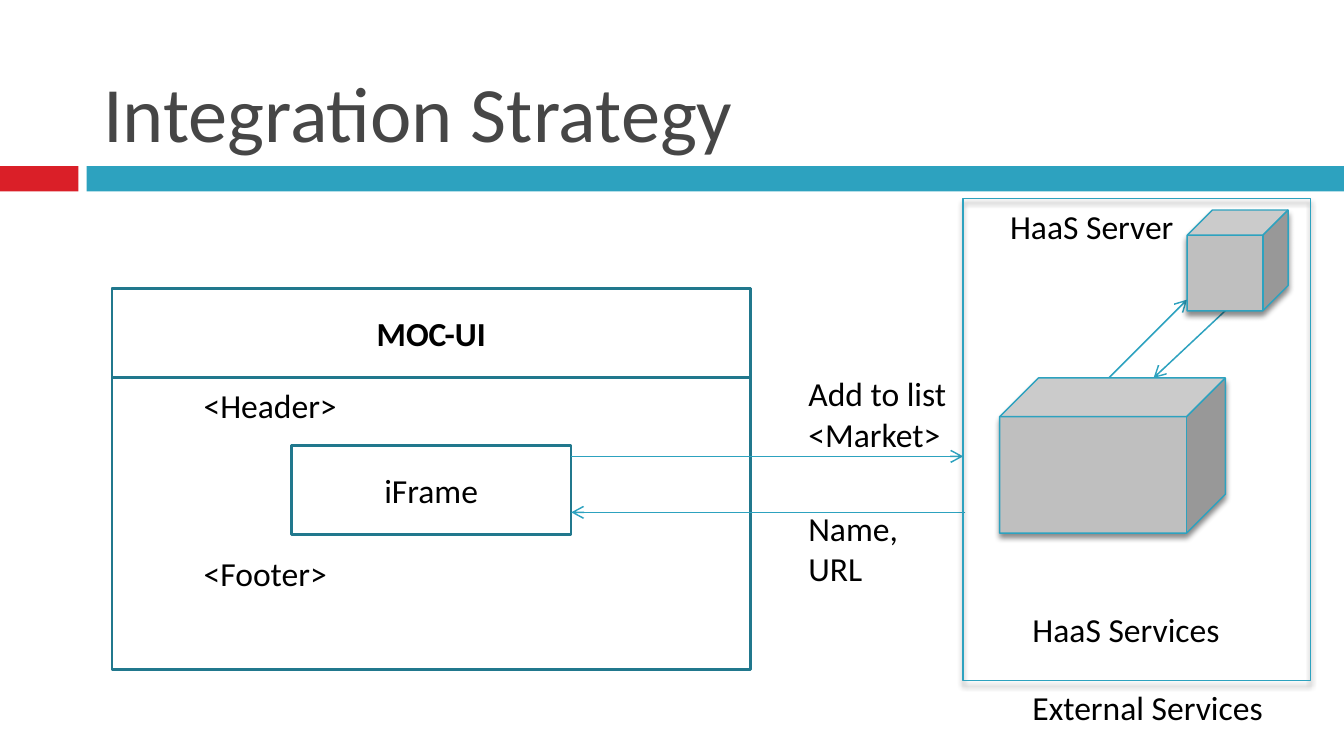
from dataclasses import dataclass

from lxml import etree
from pptx import Presentation
from pptx.dml.color import RGBColor
from pptx.enum.shapes import MSO_CONNECTOR, MSO_SHAPE
from pptx.enum.text import MSO_ANCHOR, MSO_AUTO_SIZE, PP_ALIGN
from pptx.oxml.ns import qn
from pptx.util import Inches, Pt

RECTANGLE, CUBE = MSO_SHAPE.RECTANGLE, MSO_SHAPE.CUBE
STRAIGHT = MSO_CONNECTOR.STRAIGHT
MIDDLE, BOTTOM = MSO_ANCHOR.MIDDLE, MSO_ANCHOR.BOTTOM
LEFT, CENTER = PP_ALIGN.LEFT, PP_ALIGN.CENTER
NO_FIT, GROW = MSO_AUTO_SIZE.NONE, MSO_AUTO_SIZE.SHAPE_TO_FIT_TEXT
TITLE_ONLY = 5


@dataclass(frozen=True)
class Theme:
    """Colours, type and line widths of the slide."""
    font: str = "Calibri"
    title_size: float = 42
    body_size: float = 18
    title: str = "464646"
    text: str = "000000"
    red: str = "DA1F28"
    teal: str = "2DA2BF"
    frame: str = "21788D"
    grey: str = "BFBFBF"
    thin: float = 0.79
    thick: float = 1.5


class Diagram:
    """Draws on one page with a grid of twelve columns and rows to the inch."""

    def __init__(self, page, theme):
        """Keep the page and its theme."""
        self.page, self.theme = page, theme

    def point(self, column, row):
        """Turn a grid point into lengths; rows start a quarter row high."""
        return Inches(column / 12), Inches((row - 0.25) / 12)

    def area(self, column, row, columns, rows):
        """Turn a grid area into left, top, width and height."""
        return *self.point(column, row), Inches(columns / 12), Inches(rows / 12)

    def set_text(self, frame, lines, size, color, align=LEFT, bold=False):
        """Fill a text frame with one paragraph for each line."""
        frame.text = "\n".join(lines)
        for para in frame.paragraphs:
            para.alignment = align
            para.font.name = self.theme.font
            para.font.size = Pt(size)
            para.font.bold = bold
            para.font.color.rgb = RGBColor.from_string(color)

    def title(self, text, area):
        """Place and format the title placeholder."""
        box = self.page.shapes.title
        box.left, box.top, box.width, box.height = self.area(*area)
        self.set_text(box.text_frame, [text], self.theme.title_size, self.theme.title)
        box.text_frame.vertical_anchor = BOTTOM
        box.text_frame.auto_size = NO_FIT

    def shape(self, area, kind=RECTANGLE, fill=None, line=None, width=0, shadow=False):
        """Add a preset shape, with a soft drop shadow if wanted."""
        shape = self.page.shapes.add_shape(kind, *self.area(*area))
        if fill:
            shape.fill.solid()
            shape.fill.fore_color.rgb = RGBColor.from_string(fill)
        else:
            shape.fill.background()
        if line:
            shape.line.color.rgb = RGBColor.from_string(line)
            shape.line.width = Pt(width)
        else:
            shape.line.fill.background()
        shape.shadow.inherit = False
        if shadow:
            effects = shape._element.spPr.find(qn("a:effectLst"))
            outer = etree.SubElement(
                effects, qn("a:outerShdw"), blurRad=str(Pt(3)), dist=str(Pt(2.4)),
                dir="5400000", algn="ctr", rotWithShape="0")
            black = etree.SubElement(outer, qn("a:srgbClr"), val="000000")
            etree.SubElement(black, qn("a:alpha"), val="45000")
        return shape

    def panel(self, area, text=None, bold=False):
        """Add a framed rectangle with an optional centred caption."""
        box = self.shape(area, line=self.theme.frame, width=self.theme.thick)
        if text:
            self.set_text(box.text_frame, [text], self.theme.body_size,
                          self.theme.text, CENTER, bold)
            box.text_frame.vertical_anchor = MIDDLE

    def service(self, area, kind=CUBE, fill=None):
        """Add a shadowed shape of the external side."""
        self.shape(area, kind, fill, self.theme.teal, self.theme.thin, True)

    def label(self, area, *lines, wrap=False):
        """Add a plain text box."""
        frame = self.page.shapes.add_textbox(*self.area(*area)).text_frame
        self.set_text(frame, lines, self.theme.body_size, self.theme.text)
        frame.word_wrap = wrap
        frame.auto_size = GROW

    def arrow(self, start, end):
        """Add a thin straight arrow."""
        line = self.page.shapes.add_connector(
            STRAIGHT, *self.point(*start), *self.point(*end))
        line.line.color.rgb = RGBColor.from_string(self.theme.teal)
        line.line.width = Pt(self.theme.thin)
        properties = line._element.spPr
        etree.SubElement(properties.find(qn("a:ln")), qn("a:tailEnd"), type="arrow")
        etree.SubElement(properties, qn("a:effectLst"))


def main():
    """Build the integration strategy slide."""
    deck = Presentation()
    deck.slide_width, deck.slide_height = Inches(10), Inches(5.625)
    theme = Theme()
    page = deck.slides.add_slide(deck.slide_layouts[TITLE_ONLY])
    diagram = Diagram(page, theme)

    diagram.shape((0, 15.1, 7, 2.25), fill=theme.red)
    diagram.shape((7.75, 15.1, 112.25, 2.25), fill=theme.teal)
    diagram.title("Integration Strategy", (8, 1.8, 107, 13.2))

    diagram.panel((10, 26, 57, 34))
    diagram.panel((26, 40, 25, 8), "iFrame")
    for start, end in (((51, 41), (86, 41)), ((86.2, 46), (51, 46)),
                       ((99, 34), (106, 27)), ((109.4, 28), (103, 34))):
        diagram.arrow(start, end)
    diagram.panel((10, 26, 57, 8), "MOC-UI", bold=True)

    diagram.service((106, 19, 9, 9), fill=theme.grey)
    diagram.label((17, 34, 17, 4.85), "<Header>", wrap=True)
    diagram.label((17, 49, 15, 4.85), "<Footer>", wrap=True)
    diagram.label((89, 18, 17.9, 4.85), "HaaS Server")
    diagram.label((91, 54, 19.8, 4.85), "HaaS Services")
    diagram.label((71, 45, 11, 8.5), "Name, URL", wrap=True)
    diagram.label((71, 33, 15.1, 8.5), "Add to list", "<Market>")
    diagram.service((86, 18, 31, 43), RECTANGLE)
    diagram.label((91, 61, 23, 4.85), "External Services")
    diagram.service((89.25, 34, 20.15, 13.85), fill=theme.grey)

    deck.save("out.pptx")


if __name__ == "__main__":
    main()
